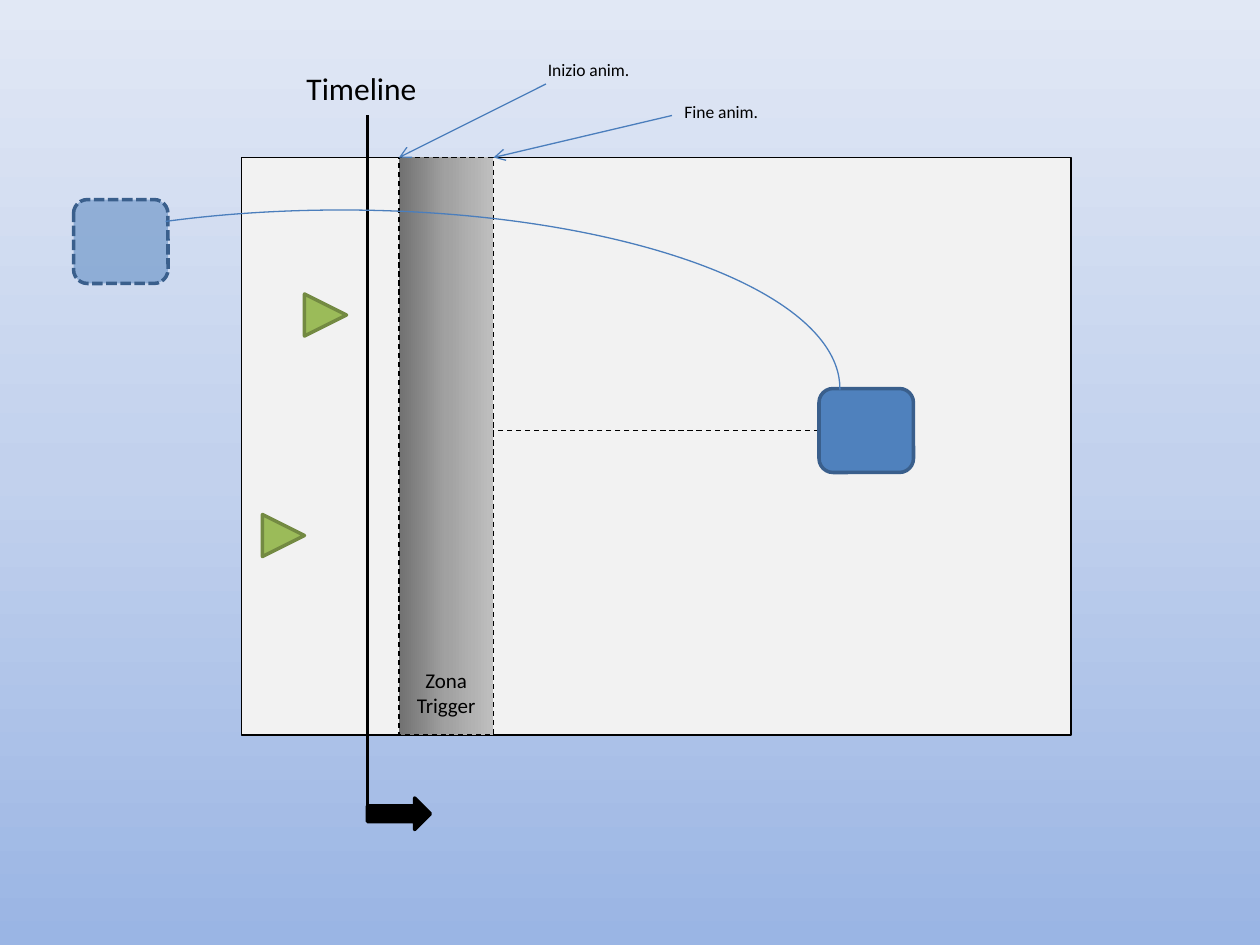
from copy import deepcopy

from lxml.etree import SubElement
from pptx import Presentation
from pptx.dml.color import RGBColor
from pptx.enum.dml import MSO_LINE
from pptx.enum.shapes import MSO_CONNECTOR, MSO_SHAPE
from pptx.enum.text import MSO_AUTO_SIZE, PP_ALIGN
from pptx.oxml.ns import qn
from pptx.util import Pt

COLORS = {
    "black": "000000", "stage": "F2F2F2", "blue": "4F81BD", "blue_edge": "3A5F8C",
    "path_blue": "4B7EBC", "green": "9BBB59", "green_edge": "738A42",
}
SKY = ["9AB5E4", "C2D1ED", "E1E8F5"]
GREYS = ["717171", "A1A1A1", "BFBFBF"]


def rgb(name):
    """Return the named colour."""
    return RGBColor.from_string(COLORS[name])


def set_gradient(fill, element, hexes, angle):
    """Give a fill three evenly spaced gradient stops."""
    fill.gradient()
    fill.gradient_angle = angle
    first = next(element.iter(qn("a:gsLst")))[0]
    first.addnext(deepcopy(first))
    for i, (stop, value) in enumerate(zip(fill.gradient_stops, hexes)):
        stop.position = i / 2
        stop.color.rgb = RGBColor.from_string(value)


def set_line(line, color, width, dash=None):
    """Format an outline or a connector line."""
    line.color.rgb = rgb(color)
    line.width = Pt(width)
    if dash:
        line.dash_style = dash


def add_box(s, kind, box, fill, edge, width, dash=None, alpha=None, rotation=0):
    """Add a preset shape; box is left, top, width, height."""
    sp = s.shapes.add_shape(kind, *map(Pt, box))
    sp.shadow.inherit = False
    sp.rotation = rotation
    if fill:
        sp.fill.solid()
        sp.fill.fore_color.rgb = rgb(fill)
    else:
        sp.fill.background()
    if alpha:
        clr = sp.element.spPr.find(qn("a:solidFill"))[0]
        SubElement(clr, qn("a:alpha"), val=str(alpha * 1000))
    set_line(sp.line, edge, width, dash)
    return sp


def add_line(s, start, end, color, width, dash=None, arrow=False):
    """Add a straight connector, with an open arrowhead if asked."""
    cx = s.shapes.add_connector(MSO_CONNECTOR.STRAIGHT, *map(Pt, start + end))
    set_line(cx.line, color, width, dash)
    spPr = cx.element.spPr
    if arrow:
        SubElement(spPr.find(qn("a:ln")), qn("a:tailEnd"), type="arrow")
    SubElement(spPr, qn("a:effectLst"))


def add_label(s, text, box, size, align=PP_ALIGN.LEFT):
    """Add a text label."""
    tf = s.shapes.add_textbox(*map(Pt, box)).text_frame
    tf.word_wrap = True
    tf.auto_size = MSO_AUTO_SIZE.SHAPE_TO_FIT_TEXT
    p = tf.paragraphs[0]
    p.text = text
    p.alignment = align
    for r in p.runs:
        r.font.name = "Calibri"
        r.font.size = Pt(size)
        r.font.color.rgb = rgb("black")


def add_marker(s, left, top):
    """Add a green triangle that points right."""
    add_box(s, MSO_SHAPE.ISOSCELES_TRIANGLE, (left, top, 24, 24),
            "green", "green_edge", 2, rotation=90)


def add_block(s, left, top, **style):
    """Add a blue block that the animation moves."""
    add_box(s, MSO_SHAPE.ROUNDED_RECTANGLE, (left, top, 54, 48),
            "blue", "blue_edge", 2, **style)


def main():
    """Build the timeline slide."""
    prs = Presentation()
    prs.slide_width, prs.slide_height = Pt(720), Pt(540)
    s = prs.slides.add_slide(prs.slide_layouts[6])
    set_gradient(s.background.fill, s.element, SKY, 90)

    add_box(s, MSO_SHAPE.RECTANGLE, (138, 90, 474, 330), "stage", "black", 1)
    add_line(s, (468, 246), (282, 246), "black", 0.75, MSO_LINE.DASH)
    zone = add_box(s, MSO_SHAPE.RECTANGLE, (228, 90, 54, 330), None, "black", 0.75,
                   MSO_LINE.DASH)
    set_gradient(zone.fill, zone.element, GREYS, 0)
    add_marker(s, 174, 168)
    add_line(s, (210, 66), (210, 468), "black", 2.25)

    add_block(s, 468, 222)
    add_block(s, 42, 114, dash=MSO_LINE.SQUARE_DOT, alpha=50)
    arc = add_box(s, MSO_SHAPE.ARC, (-90, 120, 570, 204), None, "path_blue", 0.75)
    arc.adjustments[0], arc.adjustments[1] = 134.15, 0.08

    add_label(s, "Timeline", (168, 36, 90, 29), 18)
    for start, end in (((312, 48), (228, 90)), ((384, 66), (282, 90))):
        add_line(s, start, end, "path_blue", 0.75, arrow=True)
    add_label(s, "Inizio anim.", (306, 30, 72, 19.4), 10)
    add_label(s, "Fine anim.", (384, 54, 60, 19.4), 10)
    add_label(s, "Zona\nTrigger", (222, 378, 66, 36), 12, PP_ALIGN.CENTER)
    add_box(s, MSO_SHAPE.RIGHT_ARROW, (210, 456, 36, 18), "black", "black", 2)
    add_marker(s, 150, 294)
    prs.save("out.pptx")


main()
